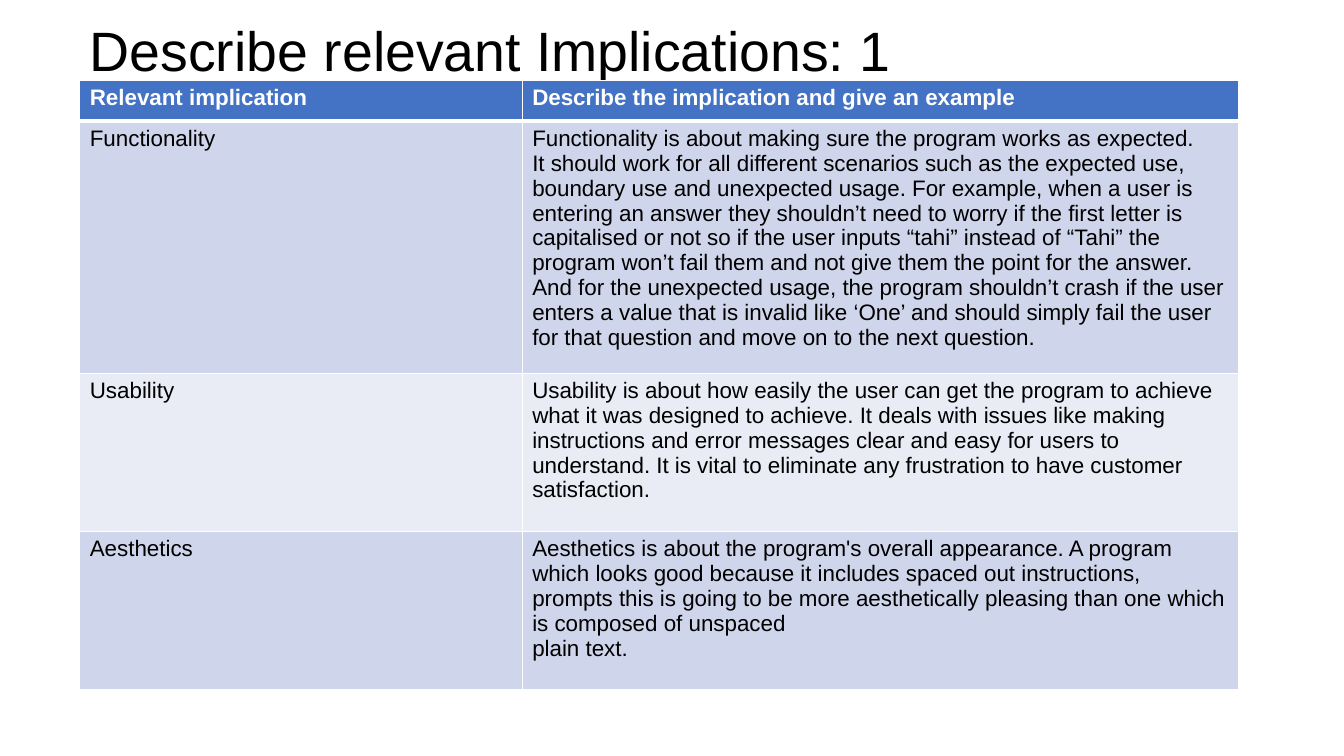
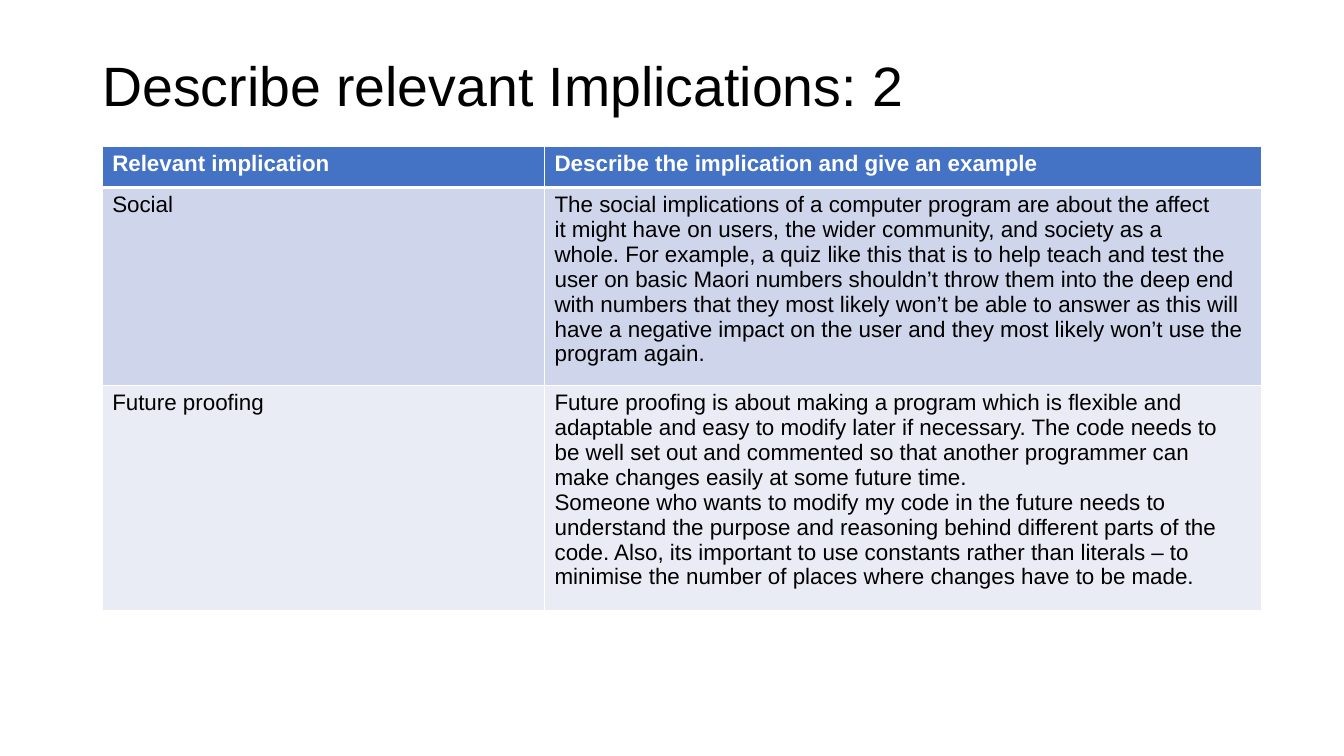
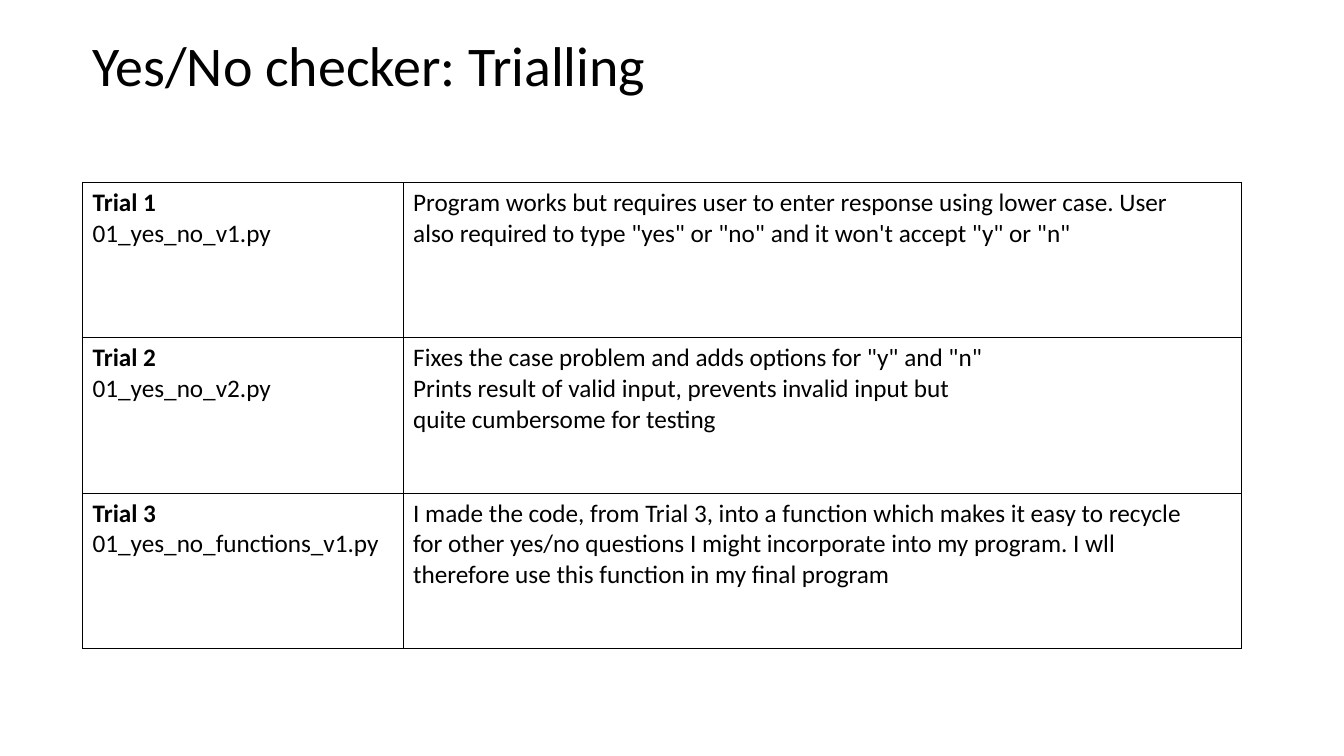
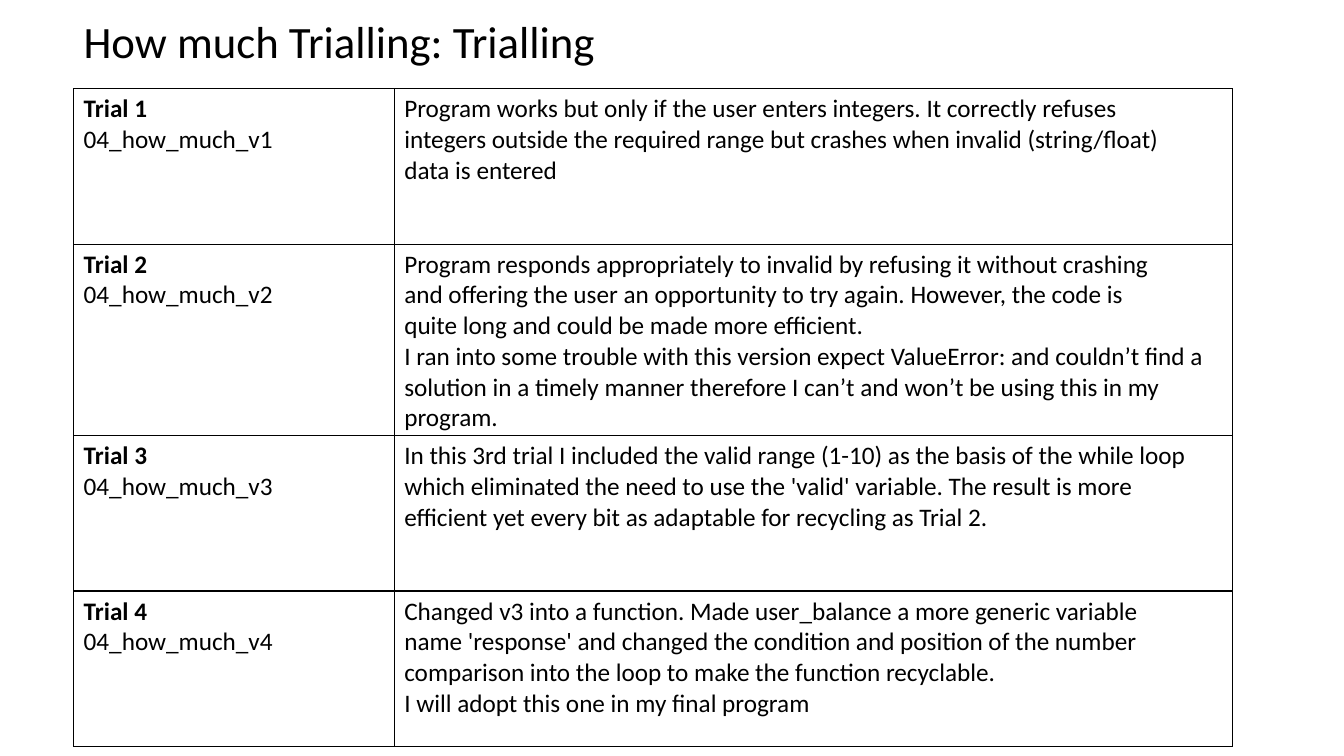
"""Build four slides of tables on program implications and trials."""
from lxml import etree
from pptx import Presentation
from pptx.dml.color import RGBColor
from pptx.enum import text
from pptx.oxml import ns
from pptx.util import Pt

BLACK = RGBColor(0x00, 0x00, 0x00)
WHITE = RGBColor(0xFF, 0xFF, 0xFF)
BLUE = RGBColor(0x44, 0x72, 0xC4)
BANDS = (RGBColor(0xCF, 0xD5, 0xEA), RGBColor(0xE9, 0xEB, 0xF5))

WIDTH = 828
IMPLICATION_COLS = (316, WIDTH - 316)
TRIAL_COLS = (229, WIDTH - 229)
TRIAL_ROW = 111
HEADER = ("Relevant implication", "Describe the implication and give an example")

IMPLICATIONS_1 = [
    ("Functionality",
     "Functionality is about making sure the program works as expected.\n"
     "It should work for all different scenarios such as the expected use, boundary use and "
     "unexpected usage. For example, when a user is entering an answer they shouldn’t need to "
     "worry if the first letter is capitalised or not so if the user inputs “tahi” instead of "
     "“Tahi” the program won’t fail them and not give them the point for the answer.\n"
     "And for the unexpected usage, the program shouldn’t crash if the user enters a value that "
     "is invalid like ‘One’ and should simply fail the user for that question and move on to "
     "the next question."),
    ("Usability",
     "Usability is about how easily the user can get the program to achieve what it was designed "
     "to achieve. It deals with issues like making instructions and error messages clear and "
     "easy for users to\n"
     "understand. It is vital to eliminate any frustration to have customer satisfaction."),
    ("Aesthetics",
     "Aesthetics is about the program's overall appearance. A program\n"
     "which looks good because it includes spaced out instructions,\n"
     "prompts this is going to be more aesthetically pleasing than one which is composed of "
     "unspaced\n"
     "plain text."),
]
IMPLICATIONS_2 = [
    ("Social",
     "The social implications of a computer program are about the affect\n"
     "it might have on users, the wider community, and society as a\n"
     "whole. For example, a quiz like this that is to help teach and test the user on basic Maori "
     "numbers shouldn’t throw them into the deep end with numbers that they most likely won’t be "
     "able to answer as this will have a negative impact on the user and they most likely won’t "
     "use the program again."),
    ("Future proofing",
     "Future proofing is about making a program which is flexible and\n"
     "adaptable and easy to modify later if necessary. The code needs to\n"
     "be well set out and commented so that another programmer can\n"
     "make changes easily at some future time.\n"
     "Someone who wants to modify my code in the future needs to\n"
     "understand the purpose and reasoning behind different parts of the\n"
     "code. Also, its important to use constants rather than literals – to\n"
     "minimise the number of places where changes have to be made."),
]
YES_NO_TRIALS = [
    ("01_yes_no_v1.py",
     "Program works but requires user to enter response using lower case. User\n"
     "also required to type \"yes\" or \"no\" and it won't accept \"y\" or \"n\""),
    ("01_yes_no_v2.py",
     "Fixes the case problem and adds options for \"y\" and \"n\"\n"
     "Prints result of valid input, prevents invalid input but\n"
     "quite cumbersome for testing"),
    ("01_yes_no_functions_v1.py",
     "I made the code, from Trial 3, into a function which makes it easy to recycle\n"
     "for other yes/no questions I might incorporate into my program. I wll\n"
     "therefore use this function in my final program"),
]
HOW_MUCH_TRIALS = [
    ("04_how_much_v1",
     "Program works but only if the user enters integers. It correctly refuses\n"
     "integers outside the required range but crashes when invalid (string/float)\n"
     "data is entered"),
    ("04_how_much_v2",
     "Program responds appropriately to invalid by refusing it without crashing\n"
     "and offering the user an opportunity to try again. However, the code is\n"
     "quite long and could be made more efficient.\n"
     "I ran into some trouble with this version expect ValueError: and couldn’t find a solution "
     "in a timely manner therefore I can’t and won’t be using this in my program."),
    ("04_how_much_v3",
     "In this 3rd trial I included the valid range (1-10) as the basis of the while loop\n"
     "which eliminated the need to use the 'valid' variable. The result is more\n"
     "efficient yet every bit as adaptable for recycling as Trial 2."),
    ("04_how_much_v4",
     "Changed v3 into a function. Made user_balance a more generic variable\n"
     "name 'response' and changed the condition and position of the number\n"
     "comparison into the loop to make the function recyclable.\n"
     "I will adopt this one in my final program"),
]


def style(p, font, size, color=BLACK, bold=False):
    """Format every run of a paragraph."""
    for r in p.runs:
        for key, value in {"name": font, "size": Pt(size), "bold": bold}.items():
            setattr(r.font, key, value)
        r.font.color.rgb = color


def add_title(s, title, left, top, height, font, size, spacing):
    """Add the slide title."""
    tf = s.shapes.add_textbox(Pt(left), Pt(top), Pt(WIDTH), Pt(height)).text_frame
    tf.word_wrap = True
    tf.vertical_anchor = text.MSO_ANCHOR.MIDDLE
    p = tf.paragraphs[0]
    p.text = title
    p.line_spacing = spacing
    style(p, font, size)


def set_borders(cell, color, bottom=1):
    """Draw the four borders of a cell."""
    props = cell._tc.get_or_add_tcPr()
    for side, width in {"L": 1, "R": 1, "T": 1, "B": bottom}.items():
        line = etree.SubElement(props, ns.qn(f"a:ln{side}"), w=str(Pt(width)))
        fill = etree.SubElement(line, ns.qn("a:solidFill"))
        etree.SubElement(fill, ns.qn("a:srgbClr"), val=str(color))


def add_grid(s, left, top, cols, heights):
    """Add an empty table with the given column widths and row heights."""
    table = s.shapes.add_table(len(heights), len(cols), Pt(left), Pt(top),
                               Pt(WIDTH), Pt(sum(heights))).table
    table.first_row = table.horz_banding = False
    for col, width in zip(table.columns, cols):
        col.width = Pt(width)
    for row, height in zip(table.rows, heights):
        row.height = Pt(height)
    return table


def add_implications(s, left, top, heights, rows):
    """Add a banded table of implications under a blue header."""
    table = add_grid(s, left, top, IMPLICATION_COLS, heights)
    for i, values in enumerate([HEADER] + rows):
        header = i == 0
        for cell, value in zip(table.rows[i].cells, values):
            set_borders(cell, WHITE, 3 if header else 1)
            cell.fill.solid()
            cell.fill.fore_color.rgb = BLUE if header else BANDS[(i - 1) % 2]
            cell.text = value
            for p in cell.text_frame.paragraphs:
                style(p, "Arial", 16, WHITE if header else BLACK, header)


def add_trials(s, left, top, trials):
    """Add a ruled table of numbered trials."""
    table = add_grid(s, left, top, TRIAL_COLS, [TRIAL_ROW] * len(trials))
    for i, (name, result) in enumerate(trials):
        label = f"Trial {i + 1}"
        for cell, value in zip(table.rows[i].cells, (f"{label}\n{name}", result)):
            set_borders(cell, BLACK)
            cell.fill.background()
            cell.text = value
            for p in cell.text_frame.paragraphs:
                style(p, "Calibri", 18, bold=p.text == label)


def main():
    """Build and save the slides."""
    prs = Presentation()
    prs.slide_width, prs.slide_height = Pt(960), Pt(540)
    slides = [prs.slides.add_slide(prs.slide_layouts[6]) for _ in range(4)]

    add_title(slides[0], "Describe relevant Implications: 1", 57, 10, 44, "Arial", 39.6, 1.15)
    add_implications(slides[0], 57, 57.6, (29, 177, 113, 113), IMPLICATIONS_1)

    add_title(slides[1], "Describe relevant Implications: 2", 66, 35, 44, "Arial", 39.6, 1.15)
    add_implications(slides[1], 73, 104.4, (29.5,) * 3, IMPLICATIONS_2)

    add_title(slides[2], "Yes/No checker: Trialling", 59, 17, 63, "Calibri", 40, 0.9)
    add_trials(slides[2], 59, 130.3, YES_NO_TRIALS)

    add_title(slides[3], "How much Trialling: Trialling", 52.6, 0, 63, "Calibri", 32, 0.9)
    add_trials(slides[3], 52.6, 63.4, HOW_MUCH_TRIALS)

    prs.save("out.pptx")


if __name__ == "__main__":
    main()
